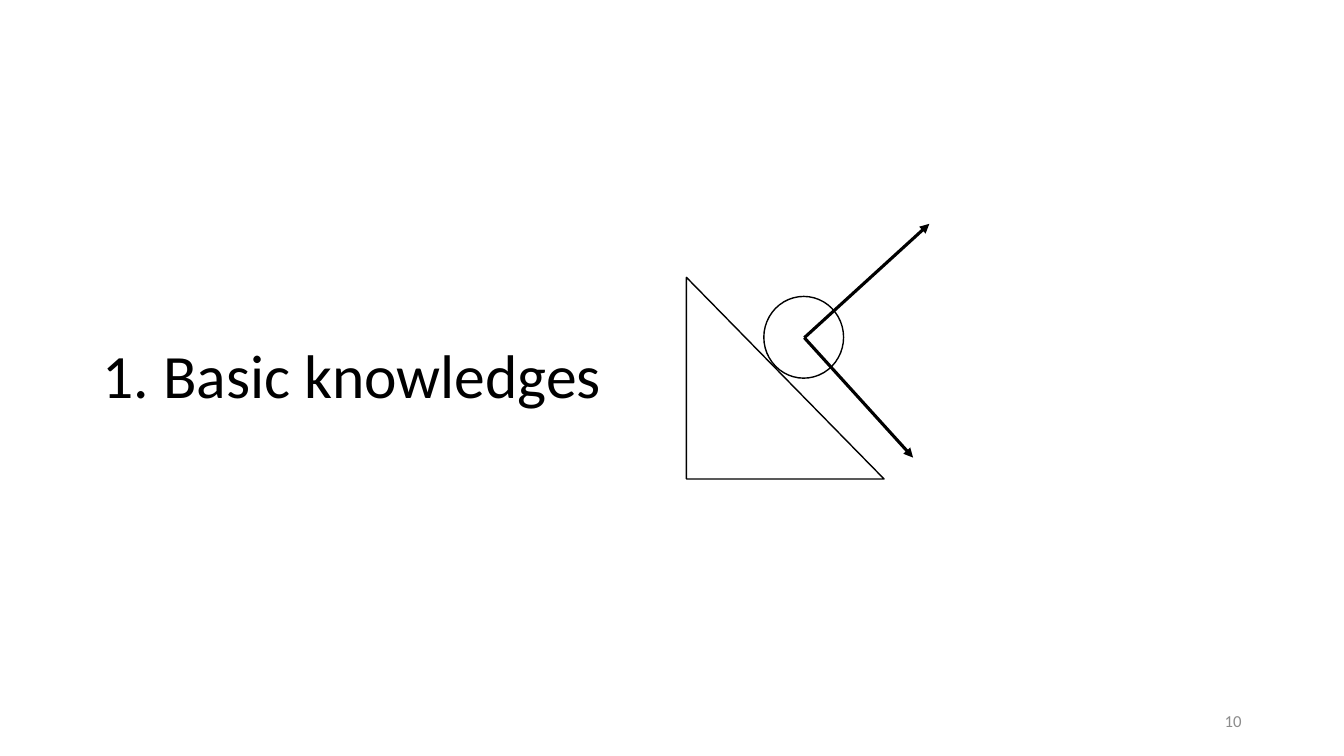
from lxml.etree import SubElement
from pptx import Presentation
from pptx.dml.color import RGBColor
from pptx.enum.shapes import MSO_CONNECTOR as CONN, MSO_SHAPE as SHAPE
from pptx.enum.text import MSO_ANCHOR as ANCHOR, PP_ALIGN as ALIGN
from pptx.oxml.ns import qn
from pptx.util import Cm, Pt

COLORS = {"ink": "000000", "paper": "FFFFFF", "muted": "8C8C8C"}
FONT = "Calibri"


def color(name):
    return RGBColor.from_string(COLORS[name])


def write(tf, text, size=12, ink="ink", align=ALIGN.LEFT, spacing=1.0):
    tf.word_wrap = True
    tf.vertical_anchor = ANCHOR.MIDDLE
    p = tf.paragraphs[0]
    p.alignment = align
    p.line_spacing = spacing
    r = p.add_run()
    r.text = text
    r.font.name = FONT
    r.font.size = Pt(size)
    r.font.color.rgb = color(ink)


class Deck:
    def __init__(self, width, height):
        self.prs = Presentation()
        self.prs.slide_width = Cm(width)
        self.prs.slide_height = Cm(height)

    def new_slide(self):
        self.s = self.prs.slides.add_slide(self.prs.slide_layouts[5])

    def title(self, text, x, y, w, h):
        sp = self.s.shapes.title
        sp.left, sp.top, sp.width, sp.height = Cm(x), Cm(y), Cm(w), Cm(h)
        write(sp.text_frame, text, size=44, spacing=0.9)

    def text(self, text, x, y, w, h, **fmt):
        sp = self.s.shapes.add_textbox(Cm(x), Cm(y), Cm(w), Cm(h))
        write(sp.text_frame, text, **fmt)

    def arrow(self, start, end):
        sp = self.s.shapes.add_connector(
            CONN.STRAIGHT, *(Cm(v) for v in (*start, *end)))
        sp.line.color.rgb = color("ink")
        sp.line.width = Pt(2.25)
        SubElement(sp.line._get_or_add_ln(), qn("a:tailEnd"), type="triangle")
        SubElement(sp._element.spPr, qn("a:effectLst"))

    def shape(self, kind, x, y, w, h, fill=None):
        sp = self.s.shapes.add_shape(kind, Cm(x), Cm(y), Cm(w), Cm(h))
        sp.shadow.inherit = False
        if fill:
            sp.fill.solid()
            sp.fill.fore_color.rgb = color(fill)
        else:
            sp.fill.background()
        sp.line.color.rgb = color("ink")
        sp.line.width = Pt(1)


def main():
    deck = Deck(33.87, 19.05)
    deck.new_slide()
    deck.title("1. Basic knowledges", 2.33, 7.7, 29.21, 3.68)
    ball_center = (20.27, 8.51)
    for tip in ((23.42, 5.64), (23.01, 11.53)):
        deck.arrow(ball_center, tip)
    deck.shape(SHAPE.RIGHT_TRIANGLE, 17.3, 6.99, 4.98, 5.08, fill="paper")
    deck.shape(SHAPE.OVAL, 19.25, 7.47, 2.01, 2.06)
    deck.text("10", 23.92, 17.65, 7.62, 1.02, ink="muted", align=ALIGN.RIGHT)
    deck.prs.save("out.pptx")


if __name__ == "__main__":
    main()
